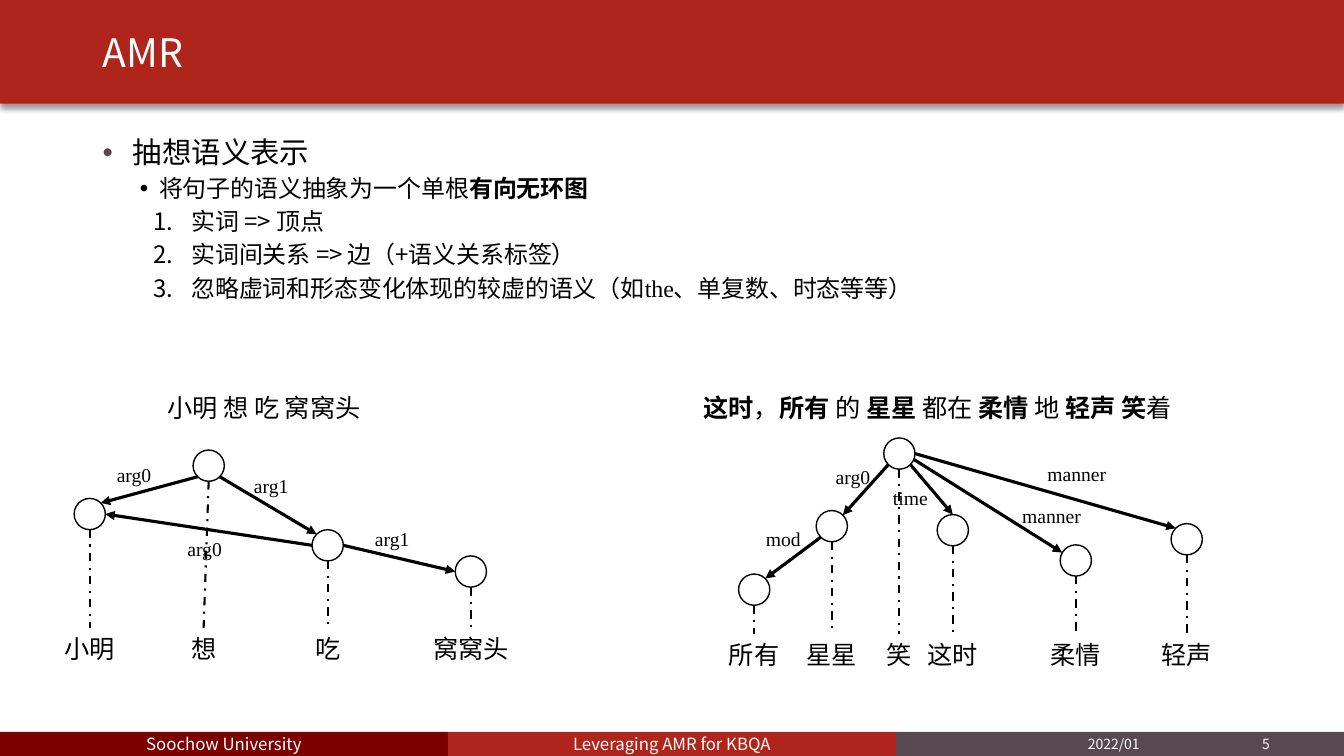
import math

from lxml import etree
from pptx import Presentation
from pptx.dml.color import RGBColor
from pptx.enum import dml, shapes, text
from pptx.oxml.ns import qn
from pptx.util import Inches, Pt

SANS, FOOTER_FONT, SERIF = "Noto Sans CJK SC", "Noto Sans CJK JP", "Times New Roman"
RED, MAROON, GREY = "AF251B", "7B0002", "584950"
WHITE, BLACK = "FFFFFF", "000000"
LEFT, CENTER = text.PP_ALIGN.LEFT, text.PP_ALIGN.CENTER
DIAMETER = 0.31


def color(value):
    return RGBColor.from_string(value)


def add_xml(parent, tag, **attributes):
    return etree.SubElement(parent, qn(tag), attributes)


def write(para, spans, size, font=SANS, ink=BLACK, align=LEFT):
    """Fill a paragraph with (text, bold) spans in one font."""
    para.alignment = align
    para.font.size = Pt(size)
    para.font.color.rgb = color(ink)
    para.font.name = font
    add_xml(para.font._element, "a:ea", typeface=font)
    for words, bold in spans:
        span = para.add_run()
        span.text = words
        if bold:
            span.font.bold = True


def add_text(page, box, spans, size, wrap=True, middle=False, **style):
    frame = page.shapes.add_textbox(*map(Inches, box)).text_frame
    frame.word_wrap = wrap
    if middle:
        frame.vertical_anchor = text.MSO_ANCHOR.MIDDLE
    write(frame.paragraphs[0], spans, size, **style)


def add_label(page, words, x, y, size, font=SANS):
    """Place a short text centred on a point."""
    add_text(page, (x - 0.5, y - 0.2, 1, 0.4), [(words, False)], size,
             wrap=False, middle=True, font=font, align=CENTER)


def add_bar(page, box, fill):
    bar = page.shapes.add_shape(shapes.MSO_SHAPE.RECTANGLE, *map(Inches, box))
    bar.shadow.inherit = False
    bar.fill.solid()
    bar.fill.fore_color.rgb = color(fill)
    bar.line.fill.background()
    return bar


def add_line(page, start, end, width):
    line = page.shapes.add_connector(
        shapes.MSO_CONNECTOR.STRAIGHT, *map(Inches, (*start, *end)))
    line.line.color.rgb = color(BLACK)
    line.line.width = Pt(width)
    add_xml(line._element.spPr, "a:effectLst")
    return line


def add_header(page, box, title):
    bar = add_bar(page, box, RED)
    effects = bar._element.spPr.find(qn("a:effectLst"))
    shadow = add_xml(effects, "a:outerShdw", blurRad=str(Pt(4)), dist=str(Pt(3)),
                     dir="5400000", algn="t", rotWithShape="0")
    tint = add_xml(shadow, "a:srgbClr", val=BLACK)
    add_xml(tint, "a:alpha", val="40000")
    left, top, width, height = box
    add_text(page, (left + 0.92, top + 0.05, width - 1.83, height - 0.11),
             [(title, False)], 28, middle=True, ink=WHITE)


def add_footer(page, box, captions, date, number):
    left, top, width, height = box
    third = width / 3
    for index, (caption, fill) in enumerate(captions):
        part = (left + index * third, top, third, height)
        add_bar(page, part, fill)
        if caption:
            add_text(page, part, [(caption, False)], 12, middle=True,
                     ink=WHITE, align=CENTER)
    for words, offset, size in ((date, 10.69, 1.49), (number, 12.42, 0.8)):
        add_text(page, (left + offset, top, size, height), [(words, False)], 10,
                 middle=True, font=FOOTER_FONT, ink=WHITE)


def set_bullet(para, margin, indent, numbered=False, ink=None):
    properties = para._p.get_or_add_pPr()
    properties.set("marL", str(Inches(margin)))
    properties.set("indent", str(Inches(indent)))
    marks = []
    if ink:
        tint = etree.Element(qn("a:buClr"))
        add_xml(tint, "a:srgbClr", val=ink)
        marks.append(tint)
    if numbered:
        marks.append(etree.Element(qn("a:buAutoNum"), type="arabicPeriod"))
    else:
        marks.append(etree.Element(qn("a:buFont"), typeface="Arial"))
        marks.append(etree.Element(qn("a:buChar"), char="•"))
    defaults = properties.find(qn("a:defRPr"))
    for mark in marks:
        defaults.addprevious(mark)


def add_outline(page, box, heading, summary, rules):
    frame = page.shapes.add_textbox(*map(Inches, box)).text_frame
    frame.word_wrap = True
    para = frame.paragraphs[0]
    para.line_spacing, para.space_before = 0.9, Pt(7.5)
    write(para, [(heading, False)], 21)
    set_bullet(para, 0.3, -0.3, ink=GREY)
    for spans in (summary, *rules):
        para = frame.add_paragraph()
        para.level, para.line_spacing = 1, 1.15
        write(para, spans, 17.1)
        if spans is summary:
            set_bullet(para, 0.56, -0.19)
        else:
            set_bullet(para, 0.88, -0.38, numbered=True)
    for span in para.runs:
        if span.text == "the":
            span.font.name = SERIF


def add_graph(page, left, top, baseline, nodes, edges):
    """Draw nodes above their words; edge angles run clockwise from the right."""
    radius = DIAMETER / 2

    def rim(word, angle):
        x, y = nodes[word][:2]
        turn = math.radians(angle)
        return left + x + radius * math.cos(turn), top + y + radius * math.sin(turn)

    # Nodes, words and dashed stems
    for word, (x, y, shift) in nodes.items():
        node = page.shapes.add_shape(
            shapes.MSO_SHAPE.OVAL, Inches(left + x - radius),
            Inches(top + y - radius), Inches(DIAMETER), Inches(DIAMETER))
        node.shadow.inherit = False
        node.fill.background()
        node.line.color.rgb = color(BLACK)
        node.line.width = Pt(1)
        foot = (left + x + shift, top + baseline)
        stem = add_line(page, rim(word, 90), foot, 1.5)
        stem.line.dash_style = dml.MSO_LINE.DASH_DOT
        add_label(page, word, foot[0], foot[1] + 0.2, 18)
    # Labelled arrows
    for source, leave, target, enter, role, x, y in edges:
        arrow = add_line(page, rim(source, leave), rim(target, enter), 2.25)
        add_xml(arrow.line._get_or_add_ln(), "a:tailEnd", type="triangle")
        add_label(page, role, left + x, top + y, 14, SERIF)


def build_slide(page):
    add_footer(page, (0, 7.26, 13.33, 0.24),
               [("Soochow University", MAROON), ("Leveraging AMR for KBQA", RED),
                ("", GREY)], "2022/01", "5")
    add_header(page, (0, 0, 13.33, 1.03), "AMR")
    add_outline(
        page, (0.92, 1.32, 11.5, 5.44), "抽想语义表示",
        [("将句子的语义抽象为一个单根", False), ("有向无环图", True)],
        [[("实词 => 顶点", False)],
         [("实词间关系 => 边（+语义关系标签）", False)],
         [("忽略虚词和形态变化体现的较虚的语义（如", False), ("the", False),
          ("、单复数、时态等等）", False)]])

    # Short sentence
    add_text(page, (1.56, 3.84, 2.33, 0.4), [("小明 想 吃 窝窝头", False)], 18, wrap=False)
    add_graph(
        page, 0.5, 4.3, 1.93,
        {"小明": (0.39, 0.8, 0), "想": (1.57, 0.32, -0.05),
         "吃": (2.75, 1.11, 0), "窝窝头": (4.17, 1.37, 0)},
        [("想", 135, "小明", 315, "arg0", 0.83, 0.41),
         ("想", 45, "吃", 225, "arg1", 2.19, 0.52),
         ("吃", 0, "窝窝头", 180, "arg1", 3.39, 1.04),
         ("吃", 180, "小明", 0, "arg0", 1.53, 1.14)])

    # Long sentence
    add_text(page, (6.88, 3.84, 5.64, 0.4),
             [("这时", True), ("，", False), ("所有 ", True), ("的 ", False),
              ("星星 ", True), ("都在 ", False), ("柔情 ", True), ("地 ", False),
              ("轻声 笑", True), ("着", False)], 18)
    add_graph(
        page, 7, 4.3, 1.99,
        {"笑": (1.92, 0.2, 0), "星星": (1.25, 0.92, 0), "所有": (0.48, 1.55, 0),
         "这时": (2.45, 0.96, 0), "柔情": (3.67, 1.26, 0), "轻声": (4.77, 1.05, 0)},
        [("笑", 45, "这时", 270, "time", 2.03, 0.64),
         ("笑", 135, "星星", 315, "arg0", 1.46, 0.43),
         ("星星", 135, "所有", 315, "mod", 0.77, 1.04),
         ("笑", 22, "柔情", 210, "manner", 3.43, 0.82),
         ("笑", 0, "轻声", 225, "manner", 3.68, 0.4)])


def main():
    deck = Presentation()
    deck.slide_width, deck.slide_height = Inches(13.33), Inches(7.5)
    build_slide(deck.slides.add_slide(deck.slide_layouts[6]))
    deck.save("out.pptx")


if __name__ == "__main__":
    main()
